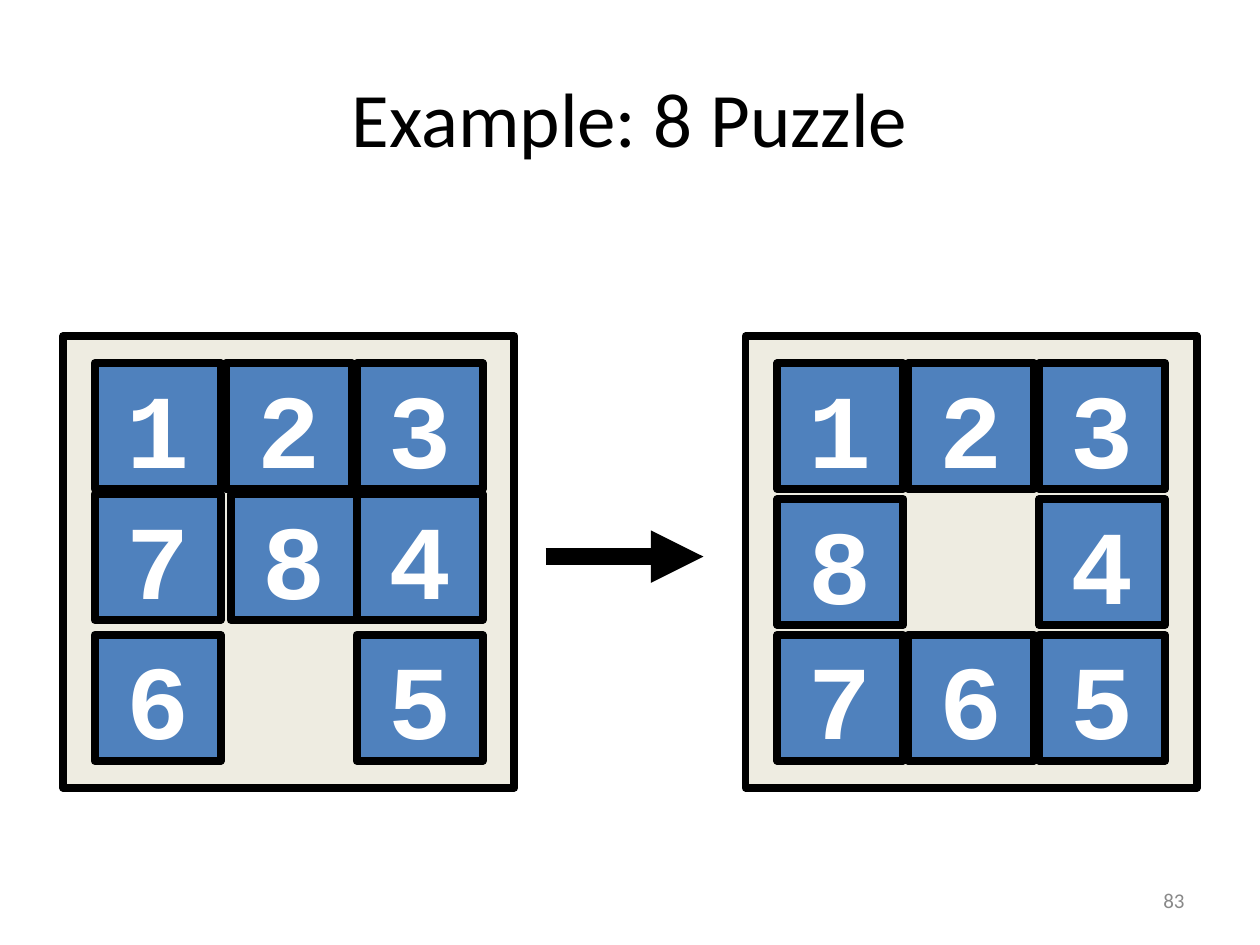
from dataclasses import dataclass

from lxml.etree import SubElement
from pptx import Presentation
from pptx.dml.color import RGBColor
from pptx.enum.shapes import MSO_CONNECTOR, MSO_SHAPE
from pptx.enum.text import MSO_ANCHOR, PP_ALIGN
from pptx.oxml.ns import qn
from pptx.util import Cm, Pt


@dataclass(frozen=True)
class Theme:
    ink: RGBColor = RGBColor(0, 0, 0)
    board: RGBColor = RGBColor(0xEE, 0xEC, 0xE1)
    tile: RGBColor = RGBColor(0x4F, 0x81, 0xBD)
    digit: RGBColor = RGBColor(0xFF, 0xFF, 0xFF)
    muted: RGBColor = RGBColor(0x89, 0x89, 0x89)
    body: str = "Calibri"
    mono: str = "Courier New"
    title: Pt = Pt(44)
    number: Pt = Pt(60)
    note: Pt = Pt(12)
    edge: Pt = Pt(4.5)
    arrow: Pt = Pt(10)


class Painter:
    def __init__(self, slide, theme):
        self.slide = slide
        self.theme = theme

    def letter(self, frame, text, align, wrap, **font):
        """Put one formatted line of text into a frame."""
        frame.word_wrap = wrap
        frame.vertical_anchor = MSO_ANCHOR.MIDDLE
        line = frame.paragraphs[0]
        line.alignment = align
        run = line.add_run()
        run.text = text
        run.font.color.rgb = font.pop("color")
        for name, value in font.items():
            setattr(run.font, name, value)

    def label(self, text, place, align, **font):
        box = self.slide.shapes.add_textbox(*map(Cm, place))
        self.letter(box.text_frame, text, align, True, name=self.theme.body, **font)

    def square(self, left, top, side, fill):
        shape = self.slide.shapes.add_shape(
            MSO_SHAPE.RECTANGLE, Cm(left), Cm(top), Cm(side), Cm(side))
        shape.shadow.inherit = False
        shape.fill.solid()
        shape.fill.fore_color.rgb = fill
        shape.line.color.rgb = self.theme.ink
        shape.line.width = self.theme.edge
        return shape

    def tile(self, digit, left, top):
        look = self.theme
        shape = self.square(left, top, TILE, look.tile)
        self.letter(shape.text_frame, digit, PP_ALIGN.CENTER, False,
                    name=look.mono, size=look.number, bold=True, color=look.digit)

    def puzzle(self, left, rows, tops, shifts):
        """Draw a board; a space is the gap, shifts moves single tiles sideways."""
        self.square(left, BOARD_TOP, BOARD, self.theme.board)
        for row, top in zip(rows, tops):
            for col, digit in enumerate(row):
                if digit != " ":
                    nudge = shifts.get(digit, 0)
                    self.tile(digit, left + INSET + col * PITCH + nudge, top)

    def arrow(self, start, end, height):
        line = self.slide.shapes.add_connector(
            MSO_CONNECTOR.STRAIGHT, Cm(start), Cm(height), Cm(end), Cm(height))
        line.line.color.rgb = self.theme.ink
        line.line.width = self.theme.arrow
        props = line._element.spPr
        SubElement(props.find(qn("a:ln")), qn("a:tailEnd"), type="triangle")
        SubElement(props, qn("a:effectLst"))


BOARD, BOARD_TOP = 9.1, 6.78
TILE, PITCH, INSET = 2.54, 2.64, 0.64
FIRST, LAST = 7.32, 12.8


def main():
    deck = Presentation()
    deck.slide_width, deck.slide_height = Cm(25.4), Cm(19.05)
    look = Theme()
    paint = Painter(deck.slides.add_slide(deck.slide_layouts[6]), look)

    paint.label("83", (18.2, 17.65, 5.93, 1.01), PP_ALIGN.RIGHT,
                size=look.note, color=look.muted)
    paint.label("Example: 8 Puzzle", (1.27, 0.76, 22.86, 3.18), PP_ALIGN.CENTER,
                size=look.title, color=look.ink)
    paint.puzzle(1.27, ("123", "784", "6 5"), (FIRST, FIRST + PITCH, LAST), {"8": 0.1})
    paint.arrow(11, 14.18, 11.22)
    paint.puzzle(15.03, ("123", "8 4", "765"), (FIRST, (FIRST + LAST) / 2, LAST), {})
    deck.save("out.pptx")


if __name__ == "__main__":
    main()
